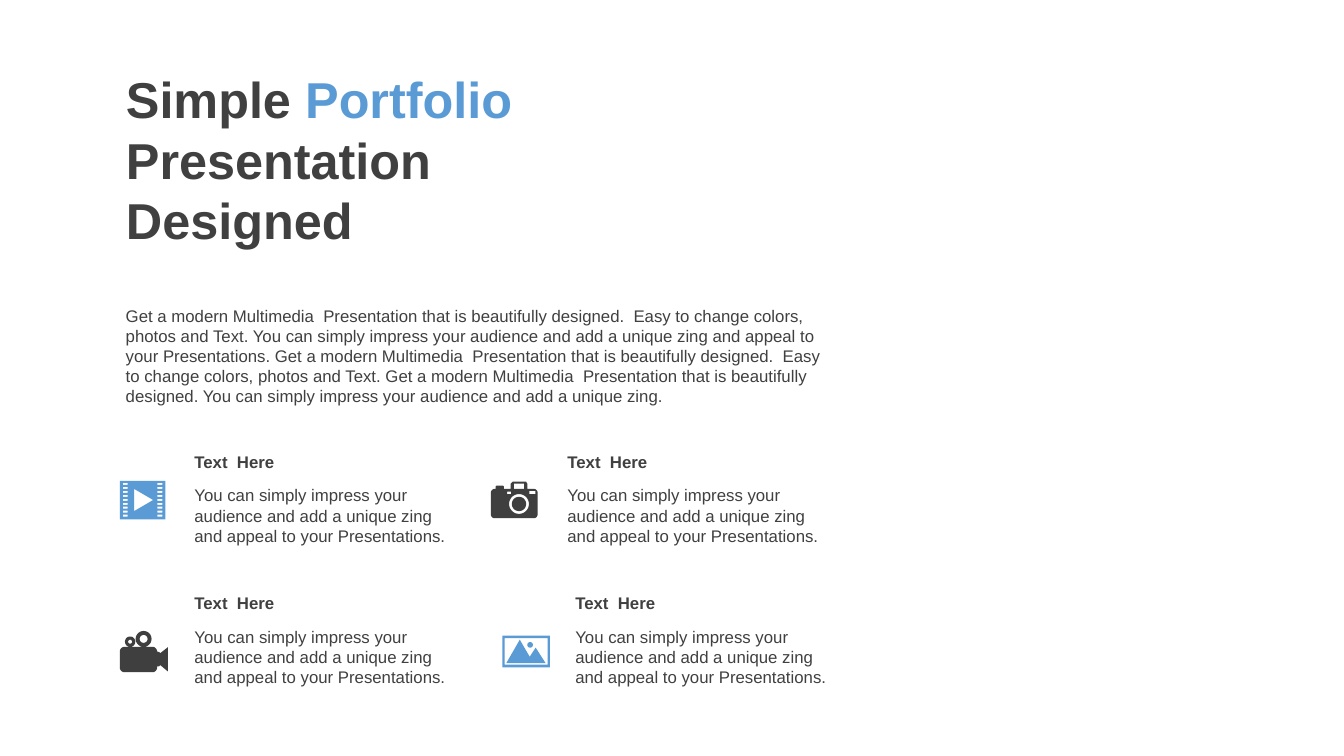
from math import cos, radians, sin

from pptx import Presentation
from pptx.dml.color import RGBColor
from pptx.enum.text import MSO_ANCHOR, MSO_AUTO_SIZE, PP_ALIGN
from pptx.util import Cm, Pt

COLORS = {"text": "404040", "dark": "3F3F3F", "blue": "5B9BD5"}
FONT = "Arial"

deck = Presentation()
deck.slide_width, deck.slide_height = Cm(33.87), Cm(19.05)
slide = deck.slides.add_slide(deck.slide_layouts[5])


def arc(x, y, r, start=0, end=360):
    """Return points along an arc, clockwise, with angles in degrees."""
    steps = max(6, (end - start) // 10)
    turns = [radians(start + (end - start) * i / steps) for i in range(steps + 1)]
    return [(x + r * cos(t), y + r * sin(t)) for t in turns]


def draw(left, top, color, loops):
    """Add one filled icon; loops hold points in cm from its top left corner."""
    pen = None
    for loop in loops:
        (x, y), *rest = [(px * 1000, py * 1000) for px, py in loop]
        if pen is None:
            pen = slide.shapes.build_freeform(x, y, scale=Cm(0.01) / 10)
        else:
            pen.move_to(x, y)
        pen.add_line_segments(rest, close=True)
    icon = pen.convert_to_shape(Cm(left), Cm(top))
    icon.shadow.inherit = False
    icon.fill.solid()
    icon.fill.fore_color.rgb = RGBColor.from_string(COLORS[color])
    icon.line.fill.background()


# Title
title = slide.shapes.title
title.left, title.top, title.width, title.height = Cm(2.92), Cm(1.6), Cm(12.85), Cm(4.88)
frame = title.text_frame
frame.word_wrap = True
frame.auto_size = MSO_AUTO_SIZE.NONE
frame.vertical_anchor = MSO_ANCHOR.TOP
lines = [[("Simple ", "text"), ("Portfolio", "blue")], [("Presentation Designed", "text")]]
for i, line in enumerate(lines):
    para = frame.add_paragraph() if i else frame.paragraphs[0]
    para.alignment = PP_ALIGN.LEFT
    para.line_spacing = 1.0
    para.space_before = Pt(0)
    para.font.name, para.font.size, para.font.bold = FONT, Pt(36), True
    for words, color in line:
        run = para.add_run()
        run.text = words
        run.font.color.rgb = RGBColor.from_string(COLORS[color])

# Introduction and the four captions
intro = (
    "Get a modern Multimedia  Presentation that is beautifully designed.  Easy to change "
    "colors, photos and Text. You can simply impress your audience and add a unique zing "
    "and appeal to your Presentations. Get a modern Multimedia  Presentation that is "
    "beautifully designed.  Easy to change colors, photos and Text. Get a modern Multimedia  "
    "Presentation that is beautifully designed. You can simply impress your audience and "
    "add a unique zing."
)
detail = (
    "You can simply impress your audience and add a unique zing "
    "and appeal to your Presentations."
)
texts = [(2.92, 7.57, 18.44, 2.82, intro, False)]
for left, top in [(4.65, 11.25), (14.05, 11.25), (4.65, 14.81), (14.25, 14.81)]:
    texts.append((left, top, 7.32, 0.77, "Text  Here", True))
    texts.append((left, top + 0.85, 7.32, 1.8, detail, False))
for left, top, width, height, words, bold in texts:
    box = slide.shapes.add_textbox(Cm(left), Cm(top), Cm(width), Cm(height))
    box.text_frame.word_wrap = True
    para = box.text_frame.paragraphs[0]
    para.text = words
    para.font.name, para.font.size, para.font.bold = FONT, Pt(12), bold
    para.font.color.rgb = RGBColor.from_string(COLORS["text"])

# Film strip
film = [(0, 0, 1.15, 0.97)]
film += [(x, 0.05 + 0.1 * row, x + 0.12, 0.1 + 0.1 * row) for x in (0.08, 0.95) for row in range(9)]
strip = [[(l, t), (r, t), (r, b), (l, b)] for l, t, r, b in film]
draw(3.02, 12.12, "blue", strip + [[(0.36, 0.2), (0.84, 0.48), (0.36, 0.76)]])

# Photo camera
panes = [(0.58, 0.05, 0.84, 0.18), (0.41, 0.25, 0.51, 0.31), (0.97, 0.23, 1.12, 0.31)]
body = [(0.5, 0.18), (0.5, 0.05), (0.55, 0), (0.89, 0), (0.92, 0.05), (0.92, 0.18)]
body += arc(1.08, 0.28, 0.1, -90, 0) + arc(1.08, 0.82, 0.1, 0, 90)
body += arc(0.1, 0.82, 0.1, 90, 180) + arc(0.1, 0.28, 0.1, 180, 270)
body += [(0.12, 0.18), (0.12, 0.12), (0.14, 0.1), (0.31, 0.1), (0.33, 0.12), (0.33, 0.18)]
holes = [[(l, t), (r, t), (r, b), (l, b)] for l, t, r, b in panes]
draw(12.37, 12.14, "dark", [body, arc(0.71, 0.56, 0.25), arc(0.71, 0.56, 0.18)] + holes)

# Film camera
case = arc(0.12, 0.52, 0.12, 180, 270) + arc(0.82, 0.52, 0.12, -90, 0)
case += [(0.99, 0.53), (1.02, 0.56), (1.21, 0.41), (1.21, 1.02), (1.02, 0.86), (0.99, 0.89)]
case += [(0.94, 0.89)] + arc(0.82, 0.92, 0.12, 0, 90) + arc(0.12, 0.92, 0.12, 90, 180)
reels = [arc(x, y, r) for x, y, r in
         [(0.6, 0.2, 0.2), (0.6, 0.2, 0.1), (0.26, 0.27, 0.13), (0.26, 0.27, 0.05)]]
draw(3.02, 15.9, "dark", [case] + reels)

# Framed landscape
rims = [(0, 0, 1.2, 0.8), (0.06, 0.06, 1.14, 0.73)]
rim = [[(l, t), (r, t), (r, b), (l, b)] for l, t, r, b in rims]
hills = [(0.1, 0.69), (0.44, 0.1), (0.69, 0.53), (0.84, 0.3), (1.09, 0.69)]
draw(12.66, 16.02, "blue", rim + [hills, arc(0.7, 0.23, 0.07)])

deck.save("out.pptx")
